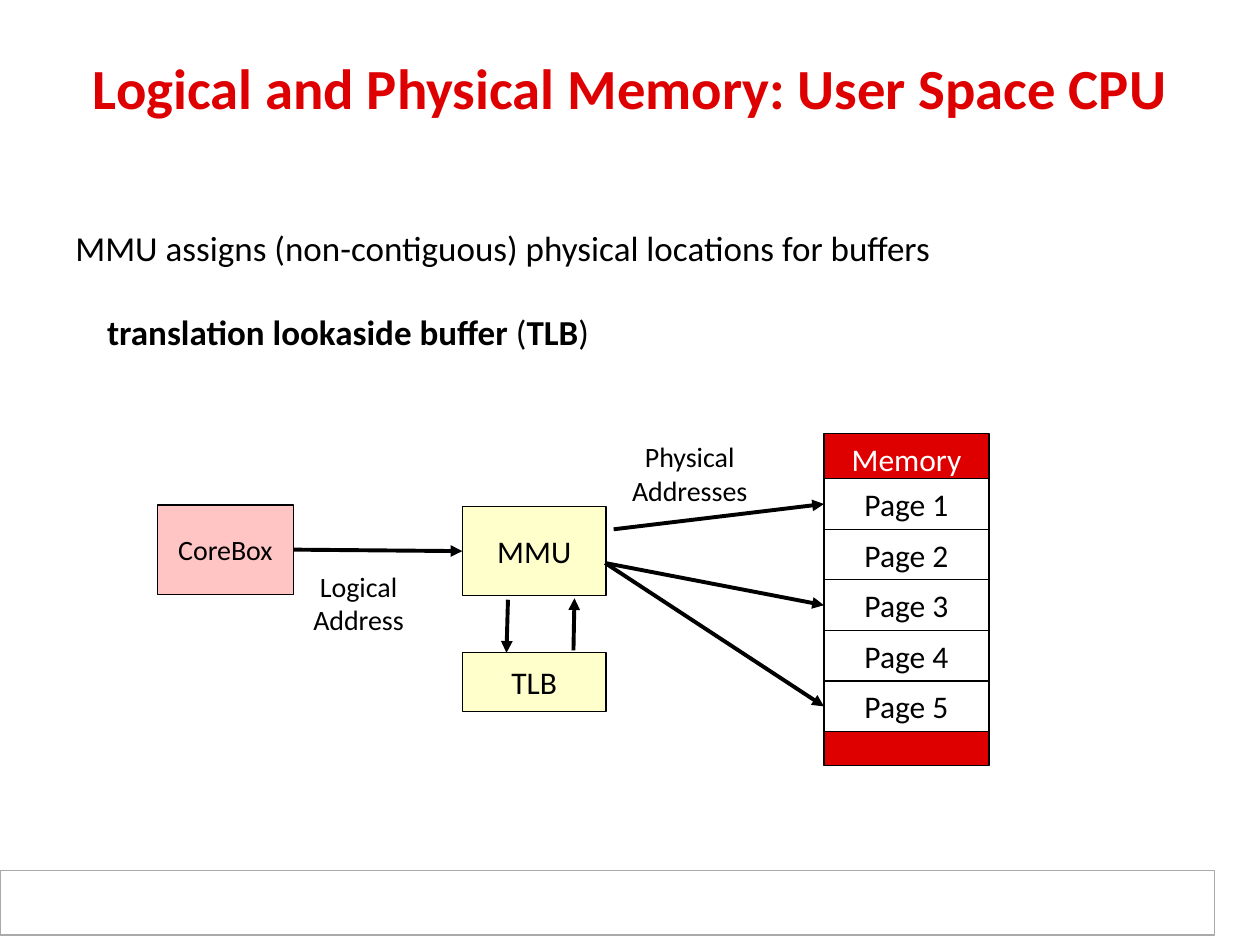
import pptx
import pptx.dml.color
import pptx.enum.shapes
import pptx.enum.text
import pptx.oxml
import pptx.oxml.ns
import pptx.util

Cm, Pt = pptx.util.Cm, pptx.util.Pt
Anchor = pptx.enum.text.MSO_ANCHOR
Align = pptx.enum.text.PP_ALIGN
FONT = "Calibri"
BLACK, WHITE, RED, PINK, CREAM = "000000", "FFFFFF", "DE0000", "FFC5C5", "FFFFCC"
GREY = "AAAAAA"

# A paragraph is a list of (text, bold) runs.
TITLE = [[("Logical and Physical Memory: User Space CPU", True)]]
BODY = [
    [("MMU assigns (non-contiguous) physical locations for buffers", False)],
    [("translation lookaside buffer", True), ("\u00a0(", False), ("TLB", True), (")", False)],
]
# name: left, top, width, height, fill, text size
BLOCKS = {
    "CoreBox": (3.17, 10.18, 2.75, 1.8, PINK, 16),
    "MMU": (9.32, 10.21, 2.9, 1.8, CREAM, 18),
    "TLB": (9.32, 13.16, 2.9, 1.19, CREAM, 18),
}
LABELS = [
    (("Logical", "Address"), (6.05, 11.35, 2.36, 1.62)),
    (("Physical", "Addresses"), (12.47, 8.74, 2.87, 1.62)),
]
MEMORY_BOX = (16.61, 8.74, 3.33, 6.7)
PAGE_COUNT, FIRST_PAGE_TOP, PAGE_HEIGHT = 5, 9.65, 1.02
LOOKUP_ARROWS = [((10.24, 12.09), (10.21, 13.16)), ((11.56, 13.11), (11.58, 12.06))]
# page number: where its arrow starts
PAGE_ARROWS = {1: (12.37, 10.67), 3: (12.2, 11.35), 5: (12.2, 11.35)}


def color(value):
    return pptx.dml.color.RGBColor.from_string(value)


def write(shape, paragraphs, size, ink=BLACK, align=Align.CENTER, anchor=Anchor.MIDDLE, wrap=True):
    frame = shape.text_frame
    frame.word_wrap = wrap
    frame.vertical_anchor = anchor
    for index, runs in enumerate(paragraphs):
        paragraph = frame.add_paragraph() if index else frame.paragraphs[0]
        paragraph.alignment = align
        for text, bold in runs:
            run = paragraph.add_run()
            run.text = text
            run.font.name = FONT
            run.font.size = Pt(size)
            run.font.bold = bold
            run.font.color.rgb = color(ink)
    return frame


def add_text(slide, box, *args, **options):
    return write(slide.shapes.add_textbox(*map(Cm, box)), *args, **options)


def add_box(slide, box, fill, line=BLACK):
    shape = slide.shapes.add_shape(pptx.enum.shapes.MSO_SHAPE.RECTANGLE, *map(Cm, box))
    shape.shadow.inherit = False
    shape.fill.solid()
    shape.fill.fore_color.rgb = color(fill)
    shape.line.color.rgb = color(line)
    shape.line.width = Pt(0.75)
    return shape


def add_arrow(slide, start=(0, 0), end=(0, 0)):
    arrow = slide.shapes.add_connector(
        pptx.enum.shapes.MSO_CONNECTOR.STRAIGHT, *map(Cm, start + end))
    arrow.line.color.rgb = color(BLACK)
    arrow.line.width = Pt(2.25)
    tail = pptx.oxml.parse_xml(
        f'<a:tailEnd {pptx.oxml.ns.nsdecls("a")} type="triangle" w="med" len="med"/>')
    arrow.line._get_or_add_ln().append(tail)
    arrow._element.spPr.append(
        pptx.oxml.parse_xml(f'<a:effectLst {pptx.oxml.ns.nsdecls("a")}/>'))
    return arrow


def add_memory(slide):
    """Draw the memory column and return its pages by number."""
    memory = add_box(slide, MEMORY_BOX, RED)
    write(memory, [[("Memory", False)]], 18, WHITE, anchor=Anchor.TOP)
    left, _, width, _ = MEMORY_BOX
    pages = {}
    for number in range(1, PAGE_COUNT + 1):
        top = FIRST_PAGE_TOP + (number - 1) * PAGE_HEIGHT
        pages[number] = add_box(slide, (left, top, width, PAGE_HEIGHT), WHITE)
        write(pages[number], [[(f"Page {number}", False)]], 18)
    return pages


def main():
    presentation = pptx.Presentation()
    presentation.slide_width, presentation.slide_height = Cm(25.4), Cm(19.05)
    slide = presentation.slides.add_slide(presentation.slide_layouts[6])

    add_box(slide, (0, 17.55, 24.49, 1.3), WHITE, GREY)
    title = add_text(slide, (1.27, 0.76, 22.86, 2.21), TITLE, 32.4, RED)
    title.paragraphs[0].line_spacing = 0.85
    body = add_text(slide, (1.27, 4.45, 22.86, 3.38), BODY, 20,
                    align=Align.LEFT, anchor=Anchor.TOP)
    second = body.paragraphs[1]
    second.space_before = Pt(24)
    second._p.get_or_add_pPr().set("marL", str(Cm(0.64)))

    blocks = {}
    for name, (*box, fill, size) in BLOCKS.items():
        blocks[name] = add_box(slide, box, fill)
        write(blocks[name], [[(name, False)]], size)
    pages = add_memory(slide)
    for lines, box in LABELS:
        add_text(slide, box, [[(line, False)] for line in lines], 16,
                 anchor=Anchor.TOP, wrap=False)

    request = add_arrow(slide)
    request.begin_connect(blocks["CoreBox"], 3)
    request.end_connect(blocks["MMU"], 1)
    for start, end in LOOKUP_ARROWS:
        add_arrow(slide, start, end)
    for number, start in PAGE_ARROWS.items():
        add_arrow(slide, start, start).end_connect(pages[number], 1)

    presentation.save("out.pptx")


if __name__ == "__main__":
    main()
